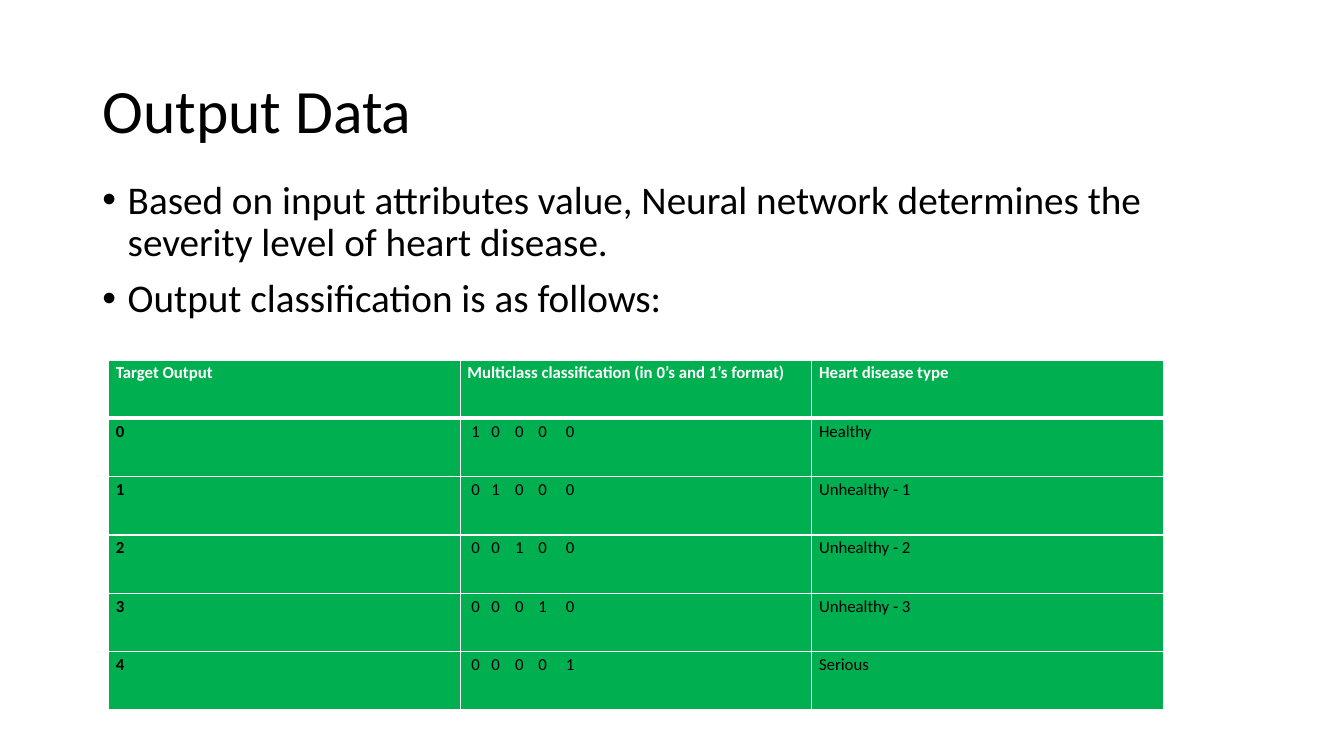
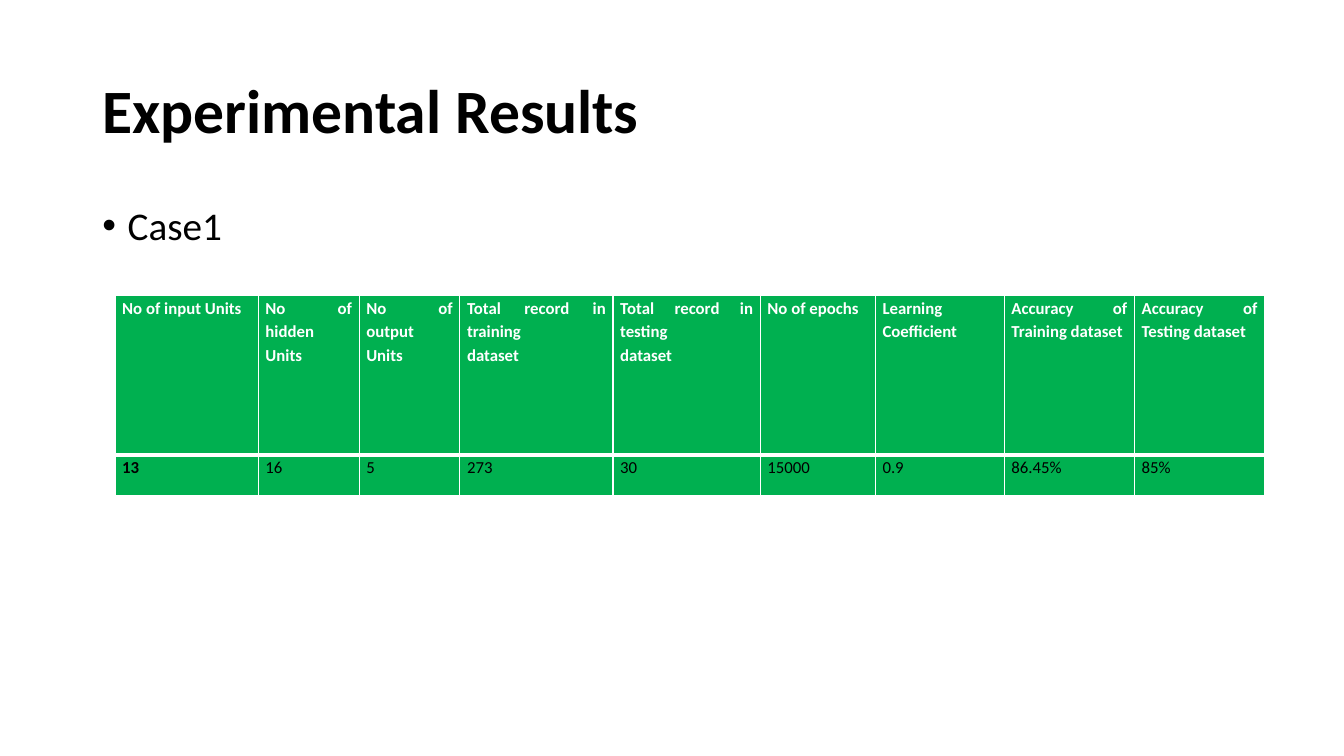
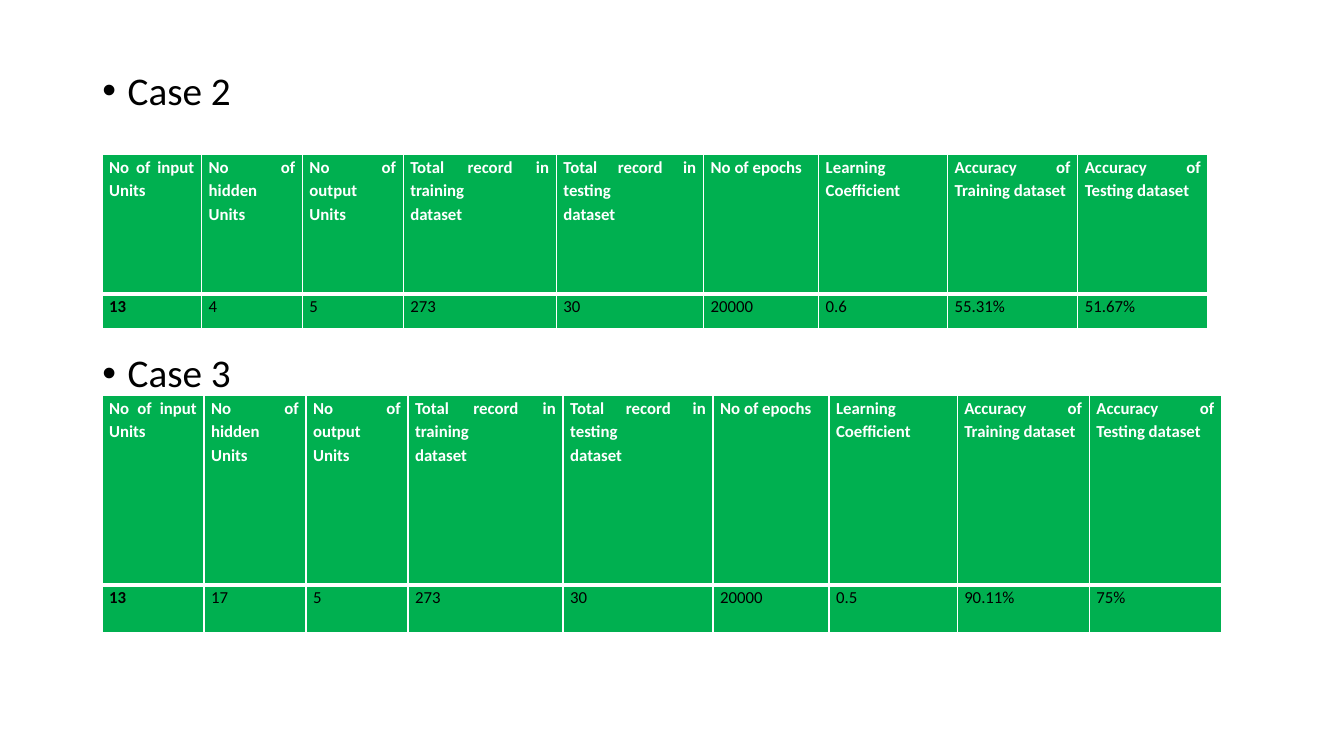
from dataclasses import dataclass

from lxml import etree
from pptx import Presentation
from pptx.dml.color import RGBColor
from pptx.enum.text import MSO_ANCHOR, PP_ALIGN
from pptx.oxml.ns import qn
from pptx.util import Cm, Pt

JUSTIFY = PP_ALIGN.JUSTIFY
MIDDLE = MSO_ANCHOR.MIDDLE
TOP = MSO_ANCHOR.TOP

BLACK = RGBColor(0x00, 0x00, 0x00)
WHITE = RGBColor(0xFF, 0xFF, 0xFF)
GREEN = RGBColor(0x00, 0xB0, 0x50)

FONT = "Calibri"
BLANK_LAYOUT = 6
TEXT_LEFT = 2.33
TEXT_WIDTH = 29.21
BULLET_INDENT = Cm(0.64)
CODE_STOPS = (0.1, 0.6, 1.2, 1.79, 2.48)
THIN, THICK = Pt(1), Pt(3)

CASE_HEADER = (
    "No of input Units",
    "No of hidden Units",
    "No of output Units",
    "Total record in training\ndataset",
    "Total record in testing\ndataset",
    "No of epochs",
    "Learning Coefficient",
    "Accuracy of Training dataset",
    "Accuracy of Testing dataset",
)
RESULT_WIDTHS = (2.54, 3.86, 3.71, 2.9, 3.25, 3.28, 3.28)


@dataclass(frozen=True)
class Title:
    text: str
    bold: bool = False


@dataclass(frozen=True)
class Bullets:
    top: float
    height: float
    lines: tuple[str, ...]


@dataclass(frozen=True)
class Grid:
    left: float
    top: float
    widths: tuple[float, ...]
    heights: tuple[float, ...]
    rows: tuple[tuple[str, ...], ...]


@dataclass(frozen=True)
class Page:
    bullets: tuple[Bullets, ...]
    grids: tuple[Grid, ...]
    title: Title | None = None


def add_span(para, text: str, size: int, color: RGBColor = BLACK, bold: bool = False) -> None:
    span = para.add_run()
    span.text = text
    span.font.name = FONT
    span.font.size = Pt(size)
    span.font.bold = bold
    span.font.color.rgb = color


def add_text_frame(page, top: float, height: float, anchor):
    box = page.shapes.add_textbox(Cm(TEXT_LEFT), Cm(top), Cm(TEXT_WIDTH), Cm(height))
    frame = box.text_frame
    frame.word_wrap = True
    frame.vertical_anchor = anchor
    return frame


def next_para(frame, index: int):
    return frame.add_paragraph() if index else frame.paragraphs[0]


def draw_title(page, title: Title) -> None:
    para = add_text_frame(page, 1.01, 3.68, MIDDLE).paragraphs[0]
    para.line_spacing = 0.9
    add_span(para, title.text, 44, bold=title.bold)


def draw_bullets(page, bullets: Bullets) -> None:
    frame = add_text_frame(page, bullets.top, bullets.height, TOP)
    for index, line in enumerate(bullets.lines):
        para = next_para(frame, index)
        para.line_spacing = 0.9
        para.space_before = Pt(10)
        props = para._p.get_or_add_pPr()
        props.set("marL", str(BULLET_INDENT))
        props.set("indent", str(-BULLET_INDENT))
        etree.SubElement(props, qn("a:buFont"), typeface="Arial")
        etree.SubElement(props, qn("a:buChar"), char="•")
        add_span(para, line, 28)


def add_tab_stops(para) -> None:
    stops = etree.SubElement(para._p.get_or_add_pPr(), qn("a:tabLst"))
    for stop in CODE_STOPS:
        etree.SubElement(stops, qn("a:tab"), pos=str(Cm(stop)), algn="l")


def set_borders(cell, top: int, bottom: int) -> None:
    props = cell._tc.get_or_add_tcPr()
    sides = (("a:lnL", THIN), ("a:lnR", THIN), ("a:lnT", top), ("a:lnB", bottom))
    for place, (tag, width) in enumerate(sides):
        line = etree.Element(qn(tag), w=str(width))
        fill = etree.SubElement(line, qn("a:solidFill"))
        etree.SubElement(fill, qn("a:srgbClr"), val=str(WHITE))
        props.insert(place, line)


def fill_cell(cell, text: str, header: bool, bold: bool) -> None:
    cell.fill.solid()
    cell.fill.fore_color.rgb = GREEN
    cell.margin_left = cell.margin_right = Cm(0.18)
    cell.margin_top = cell.margin_bottom = Cm(0)
    for index, line in enumerate(text.split("\n")):
        para = next_para(cell.text_frame, index)
        para.alignment = JUSTIFY
        para.line_spacing = 1.15
        if "\t" in line:
            add_tab_stops(para)
        add_span(para, line, 12, WHITE if header else BLACK, bold)


def draw_grid(page, grid: Grid) -> None:
    frame = page.shapes.add_table(
        len(grid.heights), len(grid.widths), Cm(grid.left), Cm(grid.top),
        Cm(sum(grid.widths)), Cm(sum(grid.heights)),
    )
    table = frame.table
    table.horz_banding = False
    for column, width in zip(table.columns, grid.widths):
        column.width = Cm(width)
    for row, height in zip(table.rows, grid.heights):
        row.height = Cm(height)
    for row_index, texts in enumerate(grid.rows):
        header = row_index == 0
        for column_index, text in enumerate(texts):
            cell = table.cell(row_index, column_index)
            fill_cell(cell, text, header, header or column_index == 0)
            set_borders(cell, THICK if row_index == 1 else THIN, THICK if header else THIN)


def one_hot(active: int) -> str:
    return "".join(f"\t{int(place == active)}" for place in range(len(CODE_STOPS)))


DISEASE_TYPES = ("Healthy", "Unhealthy - 1", "Unhealthy - 2", "Unhealthy - 3", "Serious")
OUTPUT_ROWS = (
    ("Target Output", "Multiclass classification (in 0’s and 1’s format)", "Heart disease type"),
    *((str(level), one_hot(level), name) for level, name in enumerate(DISEASE_TYPES)),
)

PAGES = (
    Page(
        title=Title("Output Data"),
        bullets=(
            Bullets(4.42, 12.75, (
                "Based on input attributes value, Neural network determines the "
                "severity level of heart disease.",
                "Output classification is as follows:",
            )),
        ),
        grids=(Grid(2.74, 9.07, (8.86,) * 3, (1.47,) * 6, OUTPUT_ROWS),),
    ),
    Page(
        title=Title("Experimental Results", bold=True),
        bullets=(Bullets(5.08, 12.09, ("Case1",)),),
        grids=(
            Grid(2.9, 7.44, (3.61, 2.54, *RESULT_WIDTHS), (4.02, 1.02), (
                CASE_HEADER,
                ("13", "16", "5", "273", "30", "15000", "0.9", "86.45%", "85%"),
            )),
        ),
    ),
    Page(
        bullets=(Bullets(1.68, 1.4, ("Case 2",)), Bullets(8.79, 1.4, ("Case 3",))),
        grids=(
            Grid(2.57, 3.89, (2.51, 2.54, *RESULT_WIDTHS), (3.51, 0.89), (
                CASE_HEADER,
                ("13", "4", "5", "273", "30", "20000", "0.6", "55.31%", "51.67%"),
            )),
            Grid(2.57, 9.96, (2.57, 2.57, 2.57, 3.91, 3.78, 2.92, 3.23, 3.33, 3.33), (4.78, 1.19), (
                CASE_HEADER,
                ("13", "17", "5", "273", "30", "20000", "0.5", "90.11%", "75%"),
            )),
        ),
    ),
)


def main() -> None:
    deck = Presentation()
    deck.slide_width = Cm(33.87)
    deck.slide_height = Cm(19.05)
    for content in PAGES:
        page = deck.slides.add_slide(deck.slide_layouts[BLANK_LAYOUT])
        if content.title:
            draw_title(page, content.title)
        for bullets in content.bullets:
            draw_bullets(page, bullets)
        for grid in content.grids:
            draw_grid(page, grid)
    deck.save("out.pptx")


if __name__ == "__main__":
    main()
